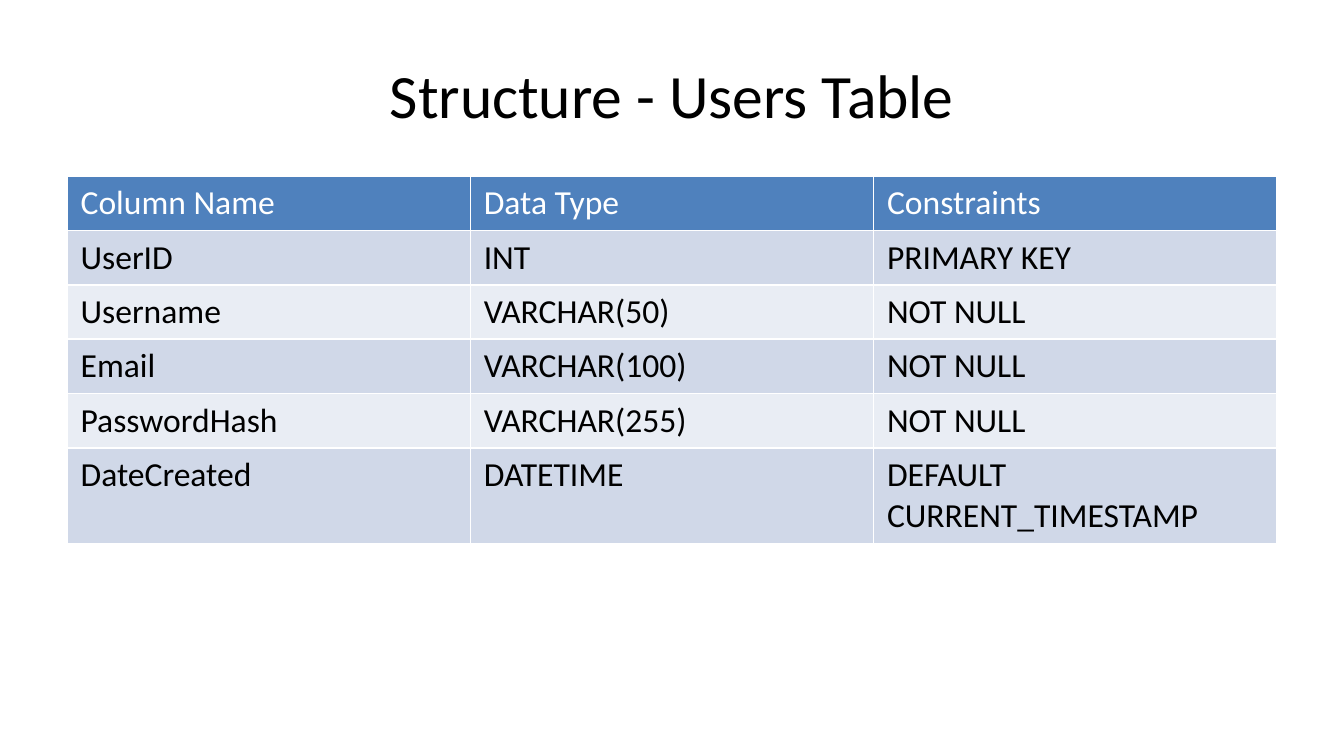
"""Build a slide describing the structure of the Users table."""
from dataclasses import dataclass

from pptx import Presentation
from pptx.dml.color import RGBColor
from pptx.enum.text import MSO_ANCHOR, PP_ALIGN
from pptx.util import Inches, Pt

MIDDLE = MSO_ANCHOR.MIDDLE
CENTER = PP_ALIGN.CENTER
BLANK_LAYOUT = 6
SLIDE_WIDTH = 10
SLIDE_HEIGHT = SLIDE_WIDTH * 9 / 16
ROW_HEIGHT = 0.81 / 2
LAST_ROW_HEIGHT = 0.71

ROWS = [
    ("Column Name", "Data Type", "Constraints"),
    ("UserID", "INT", "PRIMARY KEY"),
    ("Username", "VARCHAR(50)", "NOT NULL"),
    ("Email", "VARCHAR(100)", "NOT NULL"),
    ("PasswordHash", "VARCHAR(255)", "NOT NULL"),
    ("DateCreated", "DATETIME", "DEFAULT CURRENT_TIMESTAMP"),
]


@dataclass(frozen=True)
class Theme:
    font: str = "Calibri"
    title_size: int = 33
    cell_size: int = 18
    text: str = "000000"
    header_text: str = "FFFFFF"
    header_fill: str = "4F81BD"
    bands: tuple = ("D0D8E8", "E9EDF4")


class SlideBuilder:
    def __init__(self, slide, theme):
        self.s = slide
        self.theme = theme

    def style(self, p, size, color):
        p.font.name = self.theme.font
        p.font.size = Pt(size)
        p.font.bold = False
        p.font.color.rgb = RGBColor.from_string(color)

    def title(self, text, x, y, w, h):
        sp = self.s.shapes.add_textbox(Inches(x), Inches(y), Inches(w), Inches(h))
        tf = sp.text_frame
        tf.word_wrap = True
        tf.vertical_anchor = MIDDLE
        p = tf.paragraphs[0]
        p.text = text
        p.alignment = CENTER
        self.style(p, self.theme.title_size, self.theme.text)

    def table(self, rows, x, y, w, heights):
        theme = self.theme
        table = self.s.shapes.add_table(
            len(rows), len(rows[0]),
            Inches(x), Inches(y), Inches(w), Inches(sum(heights)),
        ).table
        for i, (values, height) in enumerate(zip(rows, heights)):
            table.rows[i].height = Inches(height)
            fill = theme.bands[(i - 1) % 2] if i else theme.header_fill
            color = theme.text if i else theme.header_text
            for cell, value in zip(table.rows[i].cells, values):
                cell.text = value
                cell.fill.solid()
                cell.fill.fore_color.rgb = RGBColor.from_string(fill)
                self.style(cell.text_frame.paragraphs[0], theme.cell_size, color)


def main():
    prs = Presentation()
    prs.slide_width = Inches(SLIDE_WIDTH)
    prs.slide_height = Inches(SLIDE_HEIGHT)
    slide = prs.slides.add_slide(prs.slide_layouts[BLANK_LAYOUT])
    builder = SlideBuilder(slide, Theme())
    builder.title("Structure - Users Table", 0.5, 0.23, 9, 0.94)
    heights = [ROW_HEIGHT] * (len(ROWS) - 1) + [LAST_ROW_HEIGHT]
    builder.table(ROWS, 0.5, 1.31, 9, heights)
    prs.save("out.pptx")


if __name__ == "__main__":
    main()
